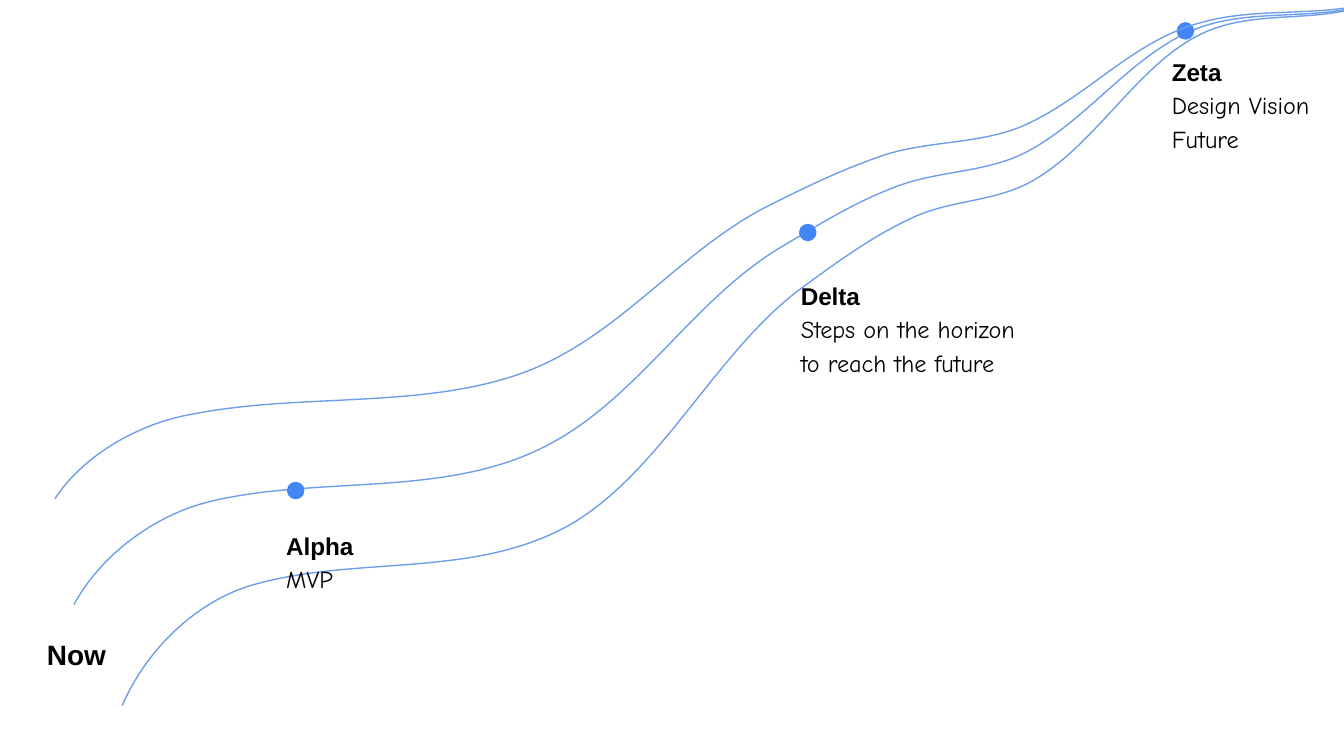
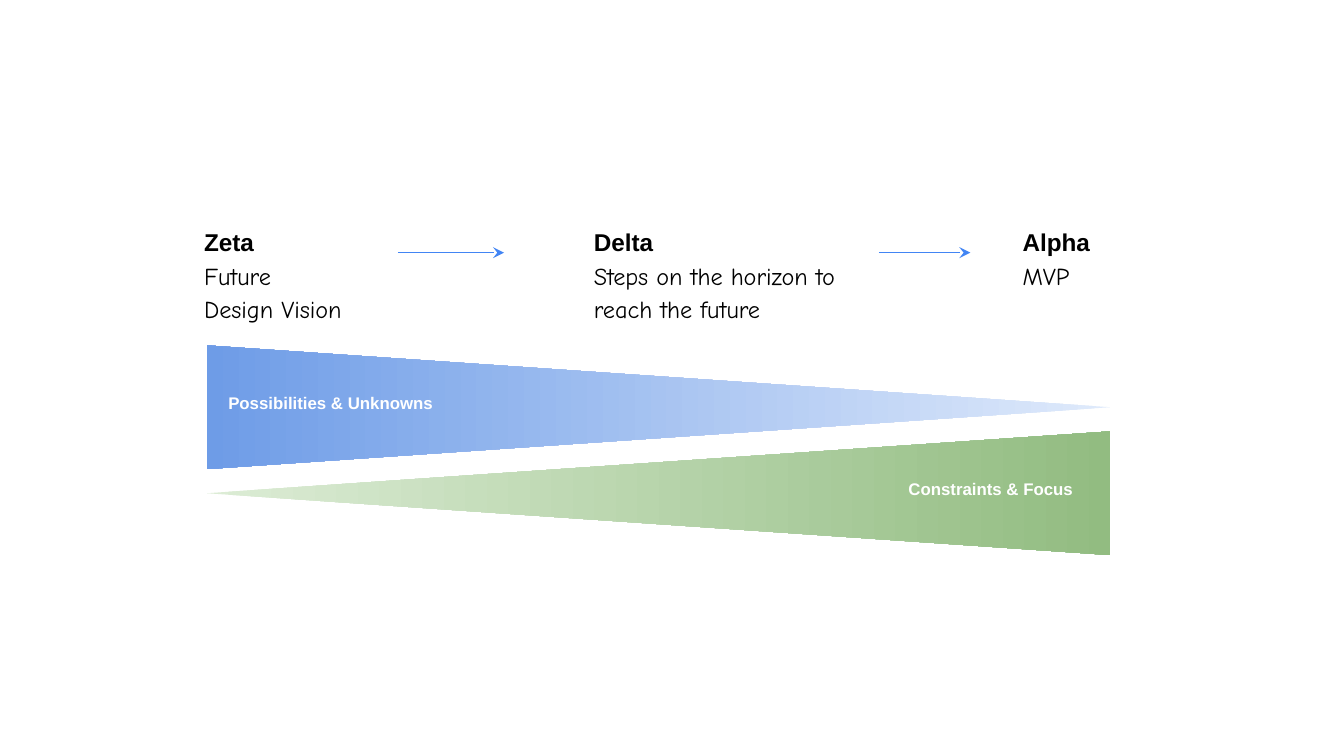
from lxml.etree import SubElement
from pptx import Presentation
from pptx.dml.color import RGBColor
from pptx.enum.shapes import MSO_CONNECTOR as Connector, MSO_SHAPE as Shape
from pptx.enum.text import MSO_ANCHOR as Anchor, PP_ALIGN as Align
from pptx.oxml.ns import qn
from pptx.util import Emu, Inches, Pt

# Grid: square cells, 100 columns across a 16:9 slide
WIDTH = Inches(10)
HEIGHT = Emu(WIDTH * 9 // 16)
CELL = WIDTH // 100

BLACK = RGBColor(0x00, 0x00, 0x00)
WHITE = RGBColor(0xFF, 0xFF, 0xFF)
ACCENT_BLUE = RGBColor(0x42, 0x85, 0xF4)
CURVE_BLUE = RGBColor(0x6D, 0x9E, 0xEB)
PALE_BLUE = RGBColor(0xDF, 0xEA, 0xFB)
DEEP_BLUE = RGBColor(0x6E, 0x9C, 0xE7)
PALE_GREEN = RGBColor(0xDC, 0xEC, 0xD5)
DEEP_GREEN = RGBColor(0x92, 0xBC, 0x81)

HEADING_FONT = "Arial"
BODY_FONT = "Comic Neue"
LINE_WIDTH = Pt(0.75)
PADDING = Inches(0.1)
DOT_SIZE = 1.2

# Each path: a start point, then two control points and an end per segment
UPPER_PATH = [
    (4.1, 37.1),
    (6.1, 34), (10.2, 31.5), (14.4, 30.8),
    (22.6, 29.2), (31.7, 30.5), (39.3, 27.6),
    (46.4, 24.8), (50.7, 18.5), (57.4, 15.2),
    (60.2, 13.8), (62.9, 12.5), (65.9, 11.5),
    (69.1, 10.5), (72.7, 10.7), (75.8, 9.5),
    (80.7, 7.5), (84.1, 3.1), (89.3, 1.7),
    (93.4, 0.5), (98, 1.3), (102.1, 0.2),
]
MIDDLE_PATH = [
    (5.5, 45),
    (7.5, 41.3), (11.5, 38.3), (15.7, 37.3),
    (23.7, 35.4), (32.8, 37), (40.2, 33.4),
    (47.3, 30), (51.4, 22.4), (58.1, 18.4),
    (60.8, 16.8), (63.5, 15.1), (66.4, 14),
    (69.5, 12.7), (73.2, 12.9), (76.2, 11.4),
    (81, 9), (84.3, 3.8), (89.4, 2),
    (93.5, 0.6), (98.1, 1.6), (102.1, 0.2),
]
LOWER_PATH = [
    (9.1, 52.5),
    (11, 48.1), (14.9, 44.6), (18.9, 43.5),
    (26.7, 41.3), (35.3, 43.1), (42.5, 39),
    (49.3, 35), (53.3, 26.1), (59.7, 21.4),
    (62.3, 19.5), (64.9, 17.6), (67.7, 16.3),
    (70.7, 14.8), (74.2, 15.1), (77.1, 13.3),
    (81.8, 10.5), (85, 4.3), (89.9, 2.3),
    (93.8, 0.7), (98.2, 1.8), (102.1, 0.2),
]


def cells(*counts):
    return [Emu(round(count * CELL)) for count in counts]


def add_slide(presentation):
    return presentation.slides.add_slide(presentation.slide_layouts[6])


def add_text_frame(slide, left, top, width, height):
    frame = slide.shapes.add_textbox(*cells(left, top, width, height)).text_frame
    frame.word_wrap = True
    frame.vertical_anchor = Anchor.TOP
    frame.margin_left = frame.margin_right = PADDING
    frame.margin_top = frame.margin_bottom = PADDING
    return frame


def add_run(paragraph, text, size, font_name=HEADING_FONT, color=BLACK, bold=True):
    run = paragraph.add_run()
    run.text = text
    font = run.font
    font.name, font.size, font.bold = font_name, Pt(size), bold
    font.color.rgb = color


def add_heading(slide, left, top, width, height, text, size):
    frame = add_text_frame(slide, left, top, width, height)
    frame.paragraphs[0].line_spacing = 1.15
    add_run(frame.paragraphs[0], text, size)
    return frame


def add_milestone(slide, left, top, width, height, name, *details):
    """Bold name with detail paragraphs; a newline in a detail breaks the line."""
    frame = add_heading(slide, left, top, width, height, name, 13)
    for detail in details:
        paragraph = frame.add_paragraph()
        paragraph.line_spacing = 1.15
        for index, line in enumerate(detail.split("\n")):
            if index:
                paragraph.add_line_break()
            add_run(paragraph, line, 13, BODY_FONT, bold=False)


def add_wedge_label(slide, left, top, text, alignment):
    paragraph = add_text_frame(slide, left, top, 24.1, 3.6).paragraphs[0]
    paragraph.alignment = alignment
    add_run(paragraph, text, 9, color=WHITE)


def add_curve(slide, points):
    start, *rest = [cells(*point) for point in points]
    builder = slide.shapes.build_freeform(*start, scale=1.0)
    builder.add_line_segments(rest, close=False)
    curve = builder.convert_to_shape()
    curve.shadow.inherit = False
    curve.fill.background()
    curve.line.color.rgb = CURVE_BLUE
    curve.line.width = LINE_WIDTH
    # Turn every three straight segments into one cubic Bézier segment
    path = next(curve._element.iter(qn("a:path")))
    segments = path.findall(qn("a:lnTo"))
    for first in range(0, len(segments), 3):
        bezier = SubElement(path, qn("a:cubicBezTo"))
        for segment in segments[first:first + 3]:
            bezier.append(segment[0])
            path.remove(segment)


def add_dot(slide, left, top):
    dot = slide.shapes.add_shape(Shape.OVAL, *cells(left, top, DOT_SIZE, DOT_SIZE))
    dot.shadow.inherit = False
    dot.fill.solid()
    dot.fill.fore_color.rgb = ACCENT_BLUE
    dot.line.color.rgb = ACCENT_BLUE
    dot.line.width = LINE_WIDTH


def add_arrow(slide, left, right, height):
    arrow = slide.shapes.add_connector(
        Connector.STRAIGHT, *cells(left, height, right, height))
    arrow.line.color.rgb = ACCENT_BLUE
    arrow.line.width = LINE_WIDTH
    SubElement(arrow.line._get_or_add_ln(), qn("a:tailEnd"), type="stealth")
    SubElement(arrow._element.spPr, qn("a:effectLst"))


def add_wedge(slide, top, rotation, tip_color, base_color):
    """Triangle turned on its side, fading towards its tip."""
    wedge = slide.shapes.add_shape(
        Shape.ISOSCELES_TRIANGLE, *cells(44.4, top, 9.2, 67.2))
    wedge.rotation = rotation
    wedge.shadow.inherit = False
    wedge.line.fill.background()
    wedge.fill.gradient()
    wedge.fill.gradient_angle = 270
    for stop, color in zip(wedge.fill.gradient_stops, (tip_color, base_color)):
        stop.color.rgb = color


def build_roadmap(slide):
    # Curves and milestone dots
    add_curve(slide, MIDDLE_PATH)
    for left, top in [(21.4, 35.9), (59.5, 16.7), (87.6, 1.7)]:
        add_dot(slide, left, top)
    add_curve(slide, UPPER_PATH)
    add_curve(slide, LOWER_PATH)

    # Labels
    add_heading(slide, 2.5, 46.1, 8.2, 6.4, "Now", 15)
    add_milestone(slide, 20.3, 38.2, 15.9, 6.4, "Alpha", "MVP")
    add_milestone(slide, 58.6, 19.6, 22.2, 6.4, "Delta",
                  "Steps on the horizon\nto reach the future")
    add_milestone(slide, 86.2, 2.9, 19.1, 10.1, "Zeta", "Design Vision", "Future")


def build_focus(slide):
    # Milestones, from the future back to now
    row = 15.6
    add_milestone(slide, 14.2, row, 19.1, 10.1, "Zeta", "Future", "Design Vision")
    add_milestone(slide, 43.2, row, 22.2, 6.4, "Delta",
                  "Steps on the horizon to reach the future")
    add_milestone(slide, 75.1, row, 15.9, 6.4, "Alpha", "MVP")
    for left, right in [(29.6, 37.5), (65.4, 72.2)]:
        add_arrow(slide, left, right, 18.8)

    # Opposing wedges
    add_wedge(slide, -3.3, 90, PALE_BLUE, DEEP_BLUE)
    add_wedge(slide, 3.1, 270, PALE_GREEN, DEEP_GREEN)
    add_wedge_label(slide, 16, 28.5, "Possibilities & Unknowns", Align.LEFT)
    add_wedge_label(slide, 56.7, 34.9, "Constraints & Focus", Align.RIGHT)


def main():
    presentation = Presentation()
    presentation.slide_width = WIDTH
    presentation.slide_height = HEIGHT
    build_roadmap(add_slide(presentation))
    build_focus(add_slide(presentation))
    presentation.save("out.pptx")


if __name__ == "__main__":
    main()
